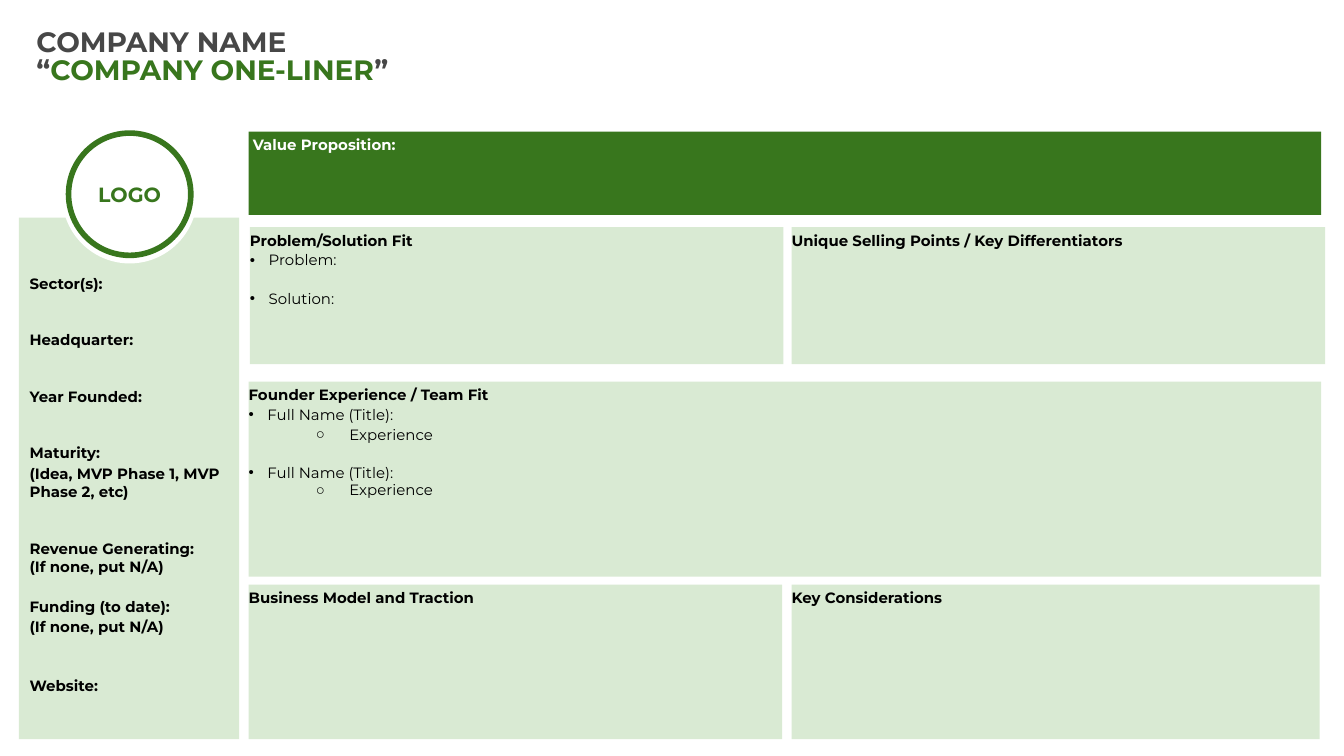
"""Build a one-page company profile slide with a sidebar and content panels."""
from lxml.etree import SubElement
from pptx import Presentation
from pptx.dml.color import RGBColor
from pptx.enum.shapes import MSO_SHAPE as SHAPE
from pptx.enum.text import MSO_ANCHOR as ANCHOR, MSO_AUTO_SIZE as AUTOSIZE, PP_ALIGN as ALIGN
from pptx.oxml.ns import qn
from pptx.util import Inches, Pt

FONT = "Montserrat"
GREEN = RGBColor(0x38, 0x76, 0x1D)
PALE_GREEN = RGBColor(0xD9, 0xEA, 0xD3)
GREY = RGBColor(0x47, 0x47, 0x47)
BLACK = RGBColor(0, 0, 0)
WHITE = RGBColor(0xFF, 0xFF, 0xFF)

TITLE_LINES = [
    [("COMPANY NAME", GREY)],
    [("“", GREY), ("COMPANY ONE-LINER", GREEN), ("”", GREY)],
]
FACTS = [
    ("Sector(s):", 0),
    ("Headquarter:", 20.5),
    ("Year Founded:", 21),
    ("Maturity:", 20.75),
    ("(Idea, MVP Phase 1, MVP Phase 2, etc)", 1.5),
    ("Revenue Generating:\v(If none, put N/A)", 21),
    ("Funding (to date):", 11.75),
    ("(If none, put N/A)", 1),
    ("Website:", 22.5),
]
PROBLEM_POINTS = [("Problem:", 0, 1), ("Solution:", 0, 11)]
TEAM_POINTS = [
    ("Full Name (Title):", 0, 1),
    ("Experience", 1, 1),
    ("Full Name (Title):", 0, 10.75),
    ("Experience", 1, 0),
]
BULLETS = [("•", 0.14, 0.14), ("○", 0.75, 0.25)]

LEFT, RIGHT = 1.85, 5.89
FULL, HALF = 7.98, 3.97
VALUE_ROW, FIT_ROW, TEAM_ROW, MODEL_ROW = (0.98, 0.62), (1.69, 1.02), (2.84, 1.45), (4.35, 1.15)
PANELS = [
    (" Value Proposition:", LEFT, FULL, VALUE_ROW, GREEN, WHITE, []),
    ("Problem/Solution Fit", LEFT + 0.01, HALF, FIT_ROW, PALE_GREEN, BLACK, PROBLEM_POINTS),
    ("Unique Selling Points / Key Differentiators", RIGHT, HALF, FIT_ROW, PALE_GREEN, BLACK, []),
    ("Founder Experience / Team Fit", LEFT, FULL, TEAM_ROW, PALE_GREEN, BLACK, TEAM_POINTS),
    ("Business Model and Traction", LEFT, HALF, MODEL_ROW, PALE_GREEN, BLACK, []),
    ("Key Considerations", RIGHT, HALF - 0.04, MODEL_ROW, PALE_GREEN, BLACK, []),
]


def place(shape, left, top, width, height):
    shape.left, shape.top = Inches(left), Inches(top)
    shape.width, shape.height = Inches(width), Inches(height)


def set_frame(frame, anchor=ANCHOR.TOP, top=0.03):
    frame.word_wrap = True
    frame.auto_size = AUTOSIZE.NONE
    frame.vertical_anchor = anchor
    frame.margin_left = frame.margin_right = frame.margin_bottom = 0
    frame.margin_top = Inches(top)


def style_run(run, size, color, bold=True):
    run.font.name = FONT
    run.font.size = Pt(size)
    run.font.bold = bold
    run.font.color.rgb = color


def style_paragraph(paragraph, size, color, bold=True, before=0, align=ALIGN.LEFT):
    paragraph.alignment = align
    paragraph.space_before = Pt(before)
    for run in paragraph.runs:
        style_run(run, size, color, bold)


def set_bullet(paragraph, level):
    char, margin, hanging = BULLETS[level]
    paragraph.level = level
    props = paragraph._p.get_or_add_pPr()
    props.set("marL", str(Inches(margin)))
    props.set("indent", str(-Inches(hanging)))
    SubElement(props, qn("a:buFont"), typeface="Arial")
    SubElement(props, qn("a:buChar"), char=char)


def clear_bullet(paragraph):
    props = paragraph._p.get_or_add_pPr()
    props.set("marL", "0")
    props.set("indent", "0")
    SubElement(props, qn("a:buNone"))


def add_block(slide, kind, box, fill, line=None):
    block = slide.shapes.add_shape(kind, *map(Inches, box))
    block.shadow.inherit = False
    block.fill.solid()
    block.fill.fore_color.rgb = fill
    if line:
        block.line.color.rgb = line
        block.line.width = Pt(3)
    else:
        block.line.fill.background()
    return block


def fill_title(title):
    place(title, 0.27, 0.12, 9.57, 0.62)
    frame = title.text_frame
    set_frame(frame, ANCHOR.MIDDLE, 0)
    for index, parts in enumerate(TITLE_LINES):
        paragraph = frame.add_paragraph() if index else frame.paragraphs[0]
        paragraph.alignment = ALIGN.LEFT
        paragraph.line_spacing = 0.85
        paragraph.space_before = Pt(0)
        for text, color in parts:
            run = paragraph.add_run()
            run.text = text
            style_run(run, 15, color)


def add_panel(slide, heading, left, width, row, fill, color, points):
    top, height = row
    panel = add_block(slide, SHAPE.RECTANGLE, (left, top, width, height), fill)
    frame = panel.text_frame
    set_frame(frame)
    frame.text = heading
    style_paragraph(frame.paragraphs[0], 8, color)
    for text, level, before in points:
        point = frame.add_paragraph()
        point.text = text
        style_paragraph(point, 8, color, bold=False, before=before)
        set_bullet(point, level)


def fill_facts(facts):
    place(facts, 0.22, 2.01, 1.49, 3.19)
    facts.element.getparent().append(facts.element)
    frame = facts.text_frame
    set_frame(frame)
    for index, (text, before) in enumerate(FACTS):
        fact = frame.add_paragraph() if index else frame.paragraphs[0]
        fact.text = text
        style_paragraph(fact, 8, BLACK, before=before)
        clear_bullet(fact)


def add_logo(slide):
    add_block(slide, SHAPE.OVAL, (0.46, 0.94, 1.01, 1.02), WHITE)
    badge = add_block(slide, SHAPE.OVAL, (0.51, 0.99, 0.91, 0.91), WHITE, GREEN)
    frame = badge.text_frame
    set_frame(frame, ANCHOR.MIDDLE, 0)
    frame.text = "LOGO"
    style_paragraph(frame.paragraphs[0], 11, GREEN, align=ALIGN.CENTER)


def main():
    deck = Presentation()
    deck.slide_width = Inches(10)
    deck.slide_height = deck.slide_width * 9 // 16
    slide = deck.slides.add_slide(deck.slide_layouts[1])
    title, facts = slide.placeholders
    fill_title(title)
    add_block(slide, SHAPE.RECTANGLE, (0.14, 1.62, 1.64, 3.88), PALE_GREEN)
    fill_facts(facts)
    for panel in PANELS:
        add_panel(slide, *panel)
    add_logo(slide)
    deck.save("out.pptx")


if __name__ == "__main__":
    main()
